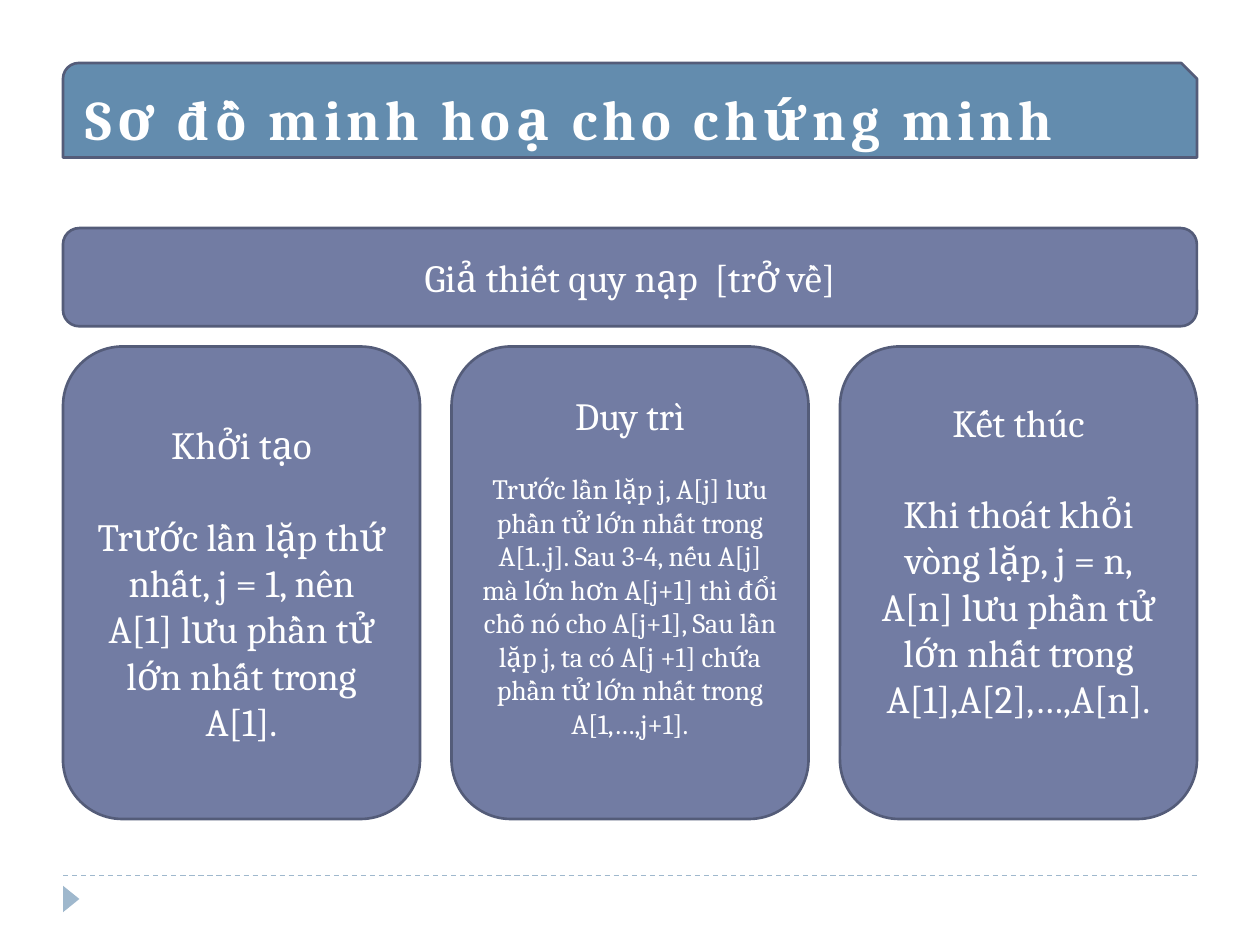
from dataclasses import dataclass
from lxml import etree
from pptx import Presentation
from pptx.dml.color import RGBColor
from pptx.enum.dml import MSO_LINE
from pptx.enum.shapes import MSO_CONNECTOR, MSO_SHAPE
from pptx.enum.text import MSO_ANCHOR, PP_ALIGN
from pptx.oxml.ns import qn
from pptx.util import Inches, Pt

ROUND = MSO_SHAPE.ROUNDED_RECTANGLE
SNIP = MSO_SHAPE.SNIP_ROUND_RECTANGLE
TRI = MSO_SHAPE.ISOSCELES_TRIANGLE
LINE = MSO_CONNECTOR.STRAIGHT
DASH = MSO_LINE.DASH
LEFT, MID = PP_ALIGN.LEFT, PP_ALIGN.CENTER
LOW, HALF = MSO_ANCHOR.BOTTOM, MSO_ANCHOR.MIDDLE


@dataclass(frozen=True)
class Theme:
    font: str = "Cambria"
    ink: str = "FFFFFF"
    bar: str = "638CAE"
    card: str = "727CA3"
    edge: str = "545C79"
    pale: str = "9FB8CD"
    title: int = 32
    head: int = 22
    small: int = 16
    lead: float = 1.18


THEME = Theme()
CARDS = [
    ("Khởi tạo",
     "Trước lần lặp thứ nhất, j = 1, nên A[1] lưu phần tử lớn nhất trong A[1].",
     THEME.head, False),
    ("Duy trì",
     "Trước lần lặp j, A[j] lưu phần tử lớn nhất trong A[1..j]. "
     "Sau 3-4, nếu A[j] mà lớn hơn A[j+1] thì đổi chỗ nó cho A[j+1], "
     "Sau lần lặp j, ta có A[j +1] chứa phần tử lớn nhất trong A[1,…,j+1].",
     THEME.small, True),
    ("Kết thúc",
     "Khi thoát khỏi vòng lặp, j = n, A[n] lưu phần tử lớn nhất trong "
     "A[1],A[2],…,A[n].",
     THEME.head, True),
]


def add_box(slide, kind, box, fill, edge=None):
    shape = slide.shapes.add_shape(kind, *map(Inches, box))
    shape.shadow.inherit = False
    shape.fill.solid()
    shape.fill.fore_color.rgb = RGBColor.from_string(fill)
    if edge:
        shape.line.color.rgb = RGBColor.from_string(edge)
        shape.line.width = Pt(1.5)
    else:
        shape.line.fill.background()
    return shape


def set_text(shape, parts, align=MID, anchor=HALF):
    frame = shape.text_frame
    frame.word_wrap = True
    frame.vertical_anchor = anchor
    frame.text = "\n".join(text for text, size in parts)
    for para, (text, size) in zip(frame.paragraphs, parts):
        para.alignment = align
        font = para.runs[0].font
        font.name = THEME.font
        font.size = Pt(size)
        font.color.rgb = RGBColor.from_string(THEME.ink)
    return frame


def add_title(slide, box, text):
    x, y, w, h = box
    add_box(slide, SNIP, box, THEME.bar, THEME.edge)
    label = slide.shapes.add_textbox(*map(Inches, (x + 0.08, y, w - 0.08, h)))
    frame = set_text(label, [(text, THEME.title)], LEFT, LOW)
    font = frame.paragraphs[0].runs[0].font
    font.bold = True
    font._element.set("spc", "300")


def add_band(slide, box, text):
    band = add_box(slide, ROUND, box, THEME.card, THEME.edge)
    set_text(band, [(text, THEME.head)])


def add_cards(slide, box, cards, gap):
    x, y, w, h = box
    wide = (w - gap * (len(cards) - 1)) / len(cards)
    for i, (head, body, size, lift) in enumerate(cards):
        place = (x + i * (wide + gap), y, wide, h)
        card = add_box(slide, ROUND, place, THEME.card, THEME.edge)
        frame = set_text(card, [(head, THEME.head), (body, size)])
        space = Pt(size * THEME.lead)
        frame.paragraphs[1].space_before = space
        if lift:
            frame.margin_bottom = Inches(0.05) + space


def add_foot(slide, box):
    x, y, w, h = box
    ends = map(Inches, (x, y, x + w, y))
    rule = slide.shapes.add_connector(LINE, *ends)
    rule.line.color.rgb = RGBColor.from_string(THEME.pale)
    rule.line.width = Pt(0.75)
    rule.line.dash_style = DASH
    etree.SubElement(rule._element.spPr, qn("a:effectLst"))
    mark = add_box(slide, TRI, (x - 0.04, y + 0.12, 0.21, h - 0.2), THEME.pale)
    mark.rotation = 90


def main():
    deck = Presentation()
    deck.slide_width, deck.slide_height = Inches(10), Inches(7.5)
    slide = deck.slides.add_slide(deck.slide_layouts[6])
    edge, wide = 0.5, 9
    add_foot(slide, (edge, 6.95, wide, 0.33))
    add_title(slide, (edge, 0.5, wide, 0.75), "Sơ đồ minh hoạ cho chứng minh")
    add_band(slide, (edge, 1.81, wide, 0.78), "Giả thiết quy nạp  [trở về]")
    add_cards(slide, (edge, 2.75, wide, 3.75), CARDS, 0.25)
    deck.save("out.pptx")


if __name__ == "__main__":
    main()
